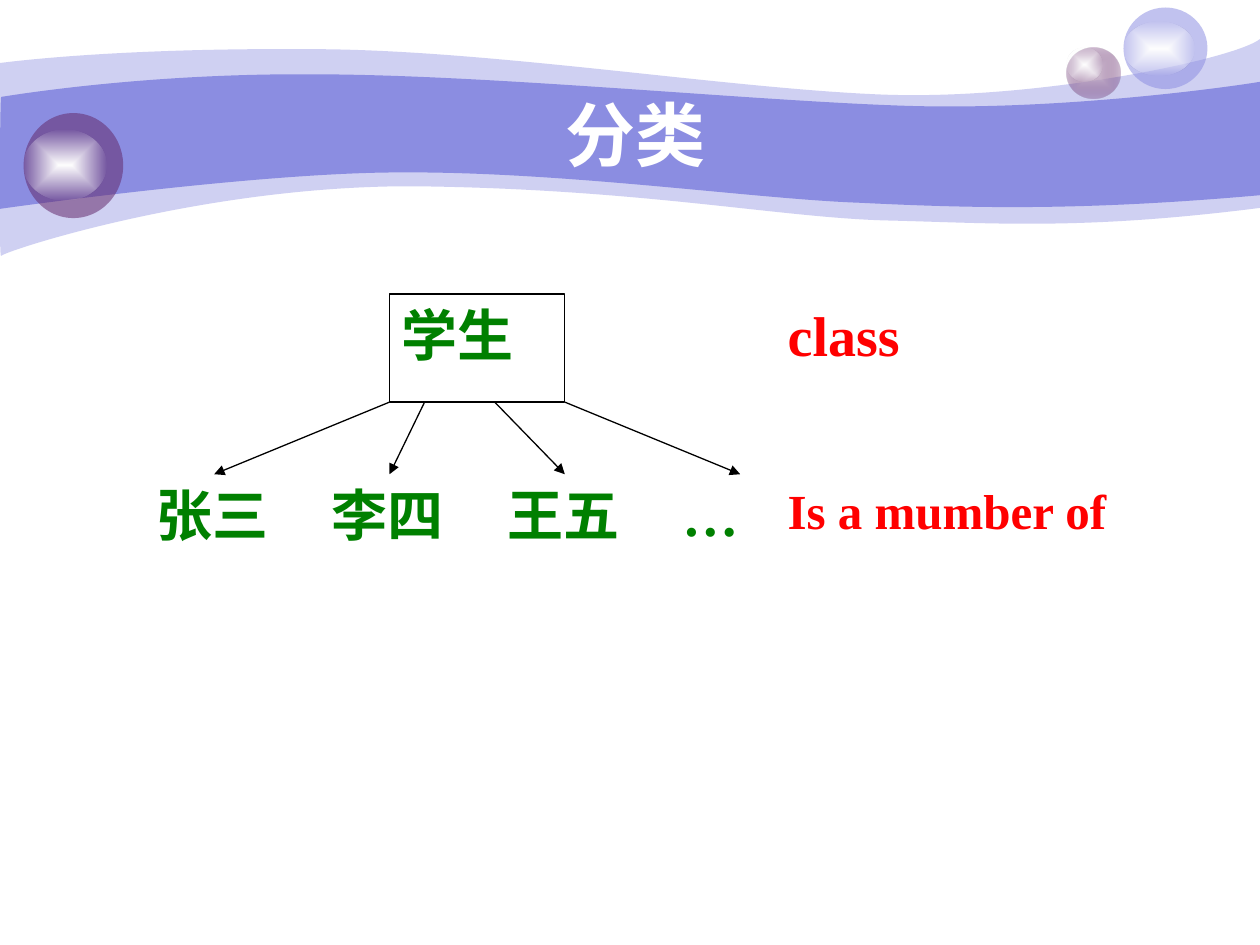
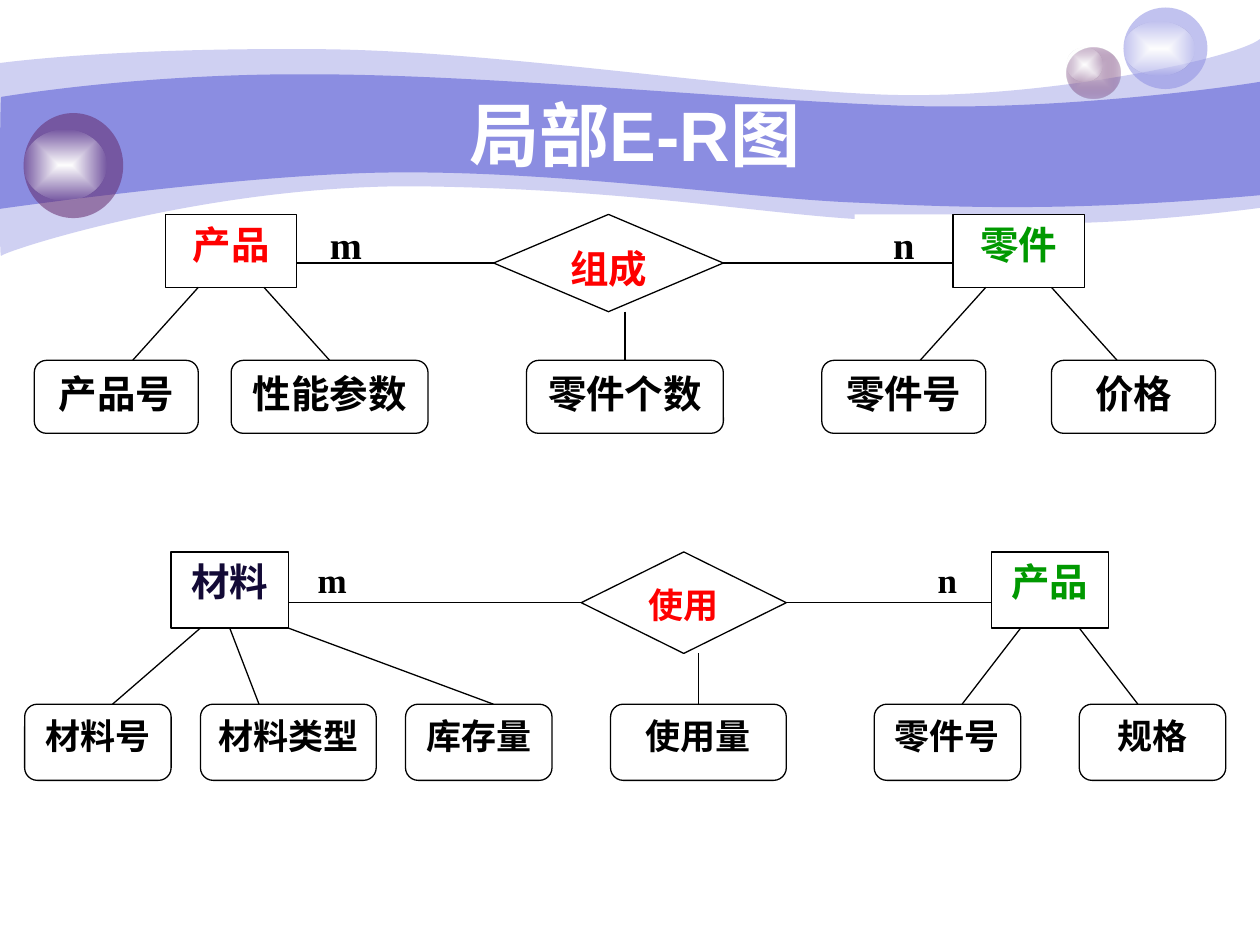
"""Builds two slides on data abstraction: a class hierarchy and two partial E-R diagrams."""
from dataclasses import dataclass

from lxml import etree
from pptx import Presentation
from pptx.dml.color import RGBColor
from pptx.enum.shapes import MSO_CONNECTOR, MSO_SHAPE
from pptx.enum.text import MSO_ANCHOR, PP_ALIGN
from pptx.oxml.ns import qn
from pptx.util import Pt

RECT, ROUNDED = MSO_SHAPE.RECTANGLE, MSO_SHAPE.ROUNDED_RECTANGLE
DIAMOND, OVAL = MSO_SHAPE.DIAMOND, MSO_SHAPE.OVAL
STRAIGHT = MSO_CONNECTOR.STRAIGHT
TOP, MIDDLE = MSO_ANCHOR.TOP, MSO_ANCHOR.MIDDLE
CENTER, JUSTIFY = PP_ALIGN.CENTER, PP_ALIGN.JUSTIFY
TOP_SIDE, LEFT_SIDE, BOTTOM_SIDE, RIGHT_SIDE = range(4)

COLORS = {
    "white": "FFFFFF", "black": "000000", "red": "FF0000", "navy": "130A36",
    "dark green": "008000", "green": "009900",
    "lavender": "8B8DE1", "plum": "632769", "pale plum": "D7C8D9",
}
SERIF, SANS, CJK = "Times New Roman", "Arial", "Noto Sans CJK KR"

PALE_BAND = [
    [(0, 36)],
    [(17.3, 33.8), (77, 27.4), (177.8, 28.1)],
    [(277.9, 28.1), (414, 50.4), (503.3, 54)],
    [(591.8, 57.6), (705.6, 33.8), (720, 22.3)],
    [(720, 118.8)],
    [(617.8, 131.8), (566.6, 127.4), (507.6, 126)],
    [(447.8, 124.6), (370.8, 108.7), (247, 106.6)],
    [(123.8, 103.7), (2.9, 143.3), (0.7, 146.2)],
    [(-0.7, 149.8), (0, 54), (0, 36)],
]
MAIN_BAND = [
    [(0.7, 55.4)],
    [(1.4, 55.4), (79.2, 41.8), (178.6, 42.5)],
    [(277.9, 42.5), (428.4, 57.6), (517, 60.5)],
    [(605.5, 63.4), (702.7, 49.7), (720, 46.8)],
    [(720, 111.6)],
    [(614.2, 121), (550.8, 118.8), (491, 115.9)],
    [(431.3, 113.8), (321.8, 97.9), (228.2, 98.6)],
    [(146.2, 98.6), (-1.4, 119.5), (-0.7, 119.5)],
    [(0, 119.5), (0, 55.4), (0.7, 55.4)],
]
BANDS = [(PALE_BAND, [("lavender", 41)]), (MAIN_BAND, [("lavender", 100)])]
GLOW = [("white", 100), ("white", 0)]
BUBBLES = [
    ((609.8, 27.2, 30.6, 29.2), [("pale plum", 100), ("plum", 31)]),
    ((609.8, 27.2, 20.2, 19.4), GLOW),
    ((642, 4.3, 48, 46.6), [("lavender", 53)]),
    ((642, 12.2, 40.3, 31), GLOW),
    ((13.5, 64.6, 56.9, 60), [("plum", 53)]),
    ((13.5, 74.2, 47.5, 40.3), GLOW),
]
MASTER_FIRST_ID = 101

HIERARCHY = {
    "title": "分类",
    "grid": (82.3, 168, 20.04, 20.6),
    "root": ("学生", 7),
    "members": [("张三", 0, 5), ("李四", 5, 5), ("王五", 10, 5), ("…", 15, 4)],
    "arrows": [(7, 2), (8, 7), (10, 12), (12, 17)],
    "notes": [("class", 0, 5, 32), ("Is a mumber of", 5, 10, 28)],
}

ER_TITLE = "局部E-R图"
ER_DIAGRAMS = [
    {
        "grid": (19.6, 122.5, 18.75, 13.9), "size": 22,
        "cardinalities": [("n", 25), ("m", 8)],
        "relation": ("组成", 14, "red", [("零件个数", 15, 6, 18, 18, SERIF)]),
        "entities": [
            ("产品", 4, "red", [("产品号", 0, 5, 5, 3, SERIF), ("性能参数", 6, 6, 7, 9, SERIF)]),
            ("零件", 28, "green", [("零件号", 24, 5, 29, 27, SERIF), ("价格", 31, 5, 31, 33, SERIF)]),
        ],
    },
    {
        "grid": (14.1, 315.4, 16.74, 14.5), "size": 20,
        "cardinalities": [("n", 30), ("m", 9)],
        "relation": ("使用", 19, "red", [("使用量", 20, 6, 23, 23, SERIF)]),
        "entities": [
            ("材料", 5, "navy", [("材料号", 0, 5, 6, 3, SERIF), ("材料类型", 6, 6, 7, 8, CJK),
                               ("库存量", 13, 5, 9, 16, SERIF)]),
            ("产品", 33, "green", [("零件号", 29, 5, 34, 32, SERIF), ("规格", 36, 5, 36, 38, SERIF)]),
        ],
    },
]
ENTITY_SIZE, ENTITY_WIDTH, RELATION_WIDTH, CARDINALITY_WIDTH = 22, 4, 7, 3
BOX_ROWS, RELATION_ROWS, ATTRIBUTE_ROW, AXIS_ROW = 3, 4, 6, 2
ROOT_WIDTH, MEMBER_ROW, NOTE_COLUMN = 5, 5, 18


def rgb(name):
    return RGBColor.from_string(COLORS[name])


def paint(shape, stops):
    """Fills a shape with one translucent colour or a gradient from its centre."""
    shape.shadow.inherit = False
    shape.line.fill.background()
    shape.fill.background()
    old = shape._element.spPr.find(qn("a:noFill"))
    fill = etree.Element(qn("a:solidFill" if len(stops) == 1 else "a:gradFill"))
    stop_list = fill if len(stops) == 1 else etree.SubElement(fill, qn("a:gsLst"))
    for index, (color, opacity) in enumerate(stops):
        holder = stop_list
        if len(stops) > 1:
            holder = etree.SubElement(stop_list, qn("a:gs"), pos=str(index * 100000))
        tone = etree.SubElement(holder, qn("a:srgbClr"), val=COLORS[color])
        if opacity < 100:
            etree.SubElement(tone, qn("a:alpha"), val=str(opacity * 1000))
    if len(stops) > 1:
        center = etree.SubElement(fill, qn("a:path"), path="rect")
        etree.SubElement(center, qn("a:fillToRect"), dict.fromkeys("ltrb", "50000"))
    old.getparent().replace(old, fill)


def add_band(page, segments):
    """Draws a closed outline whose three-point segments are cubic curves."""
    ends = [(Pt(x), Pt(y)) for x, y in (segment[-1] for segment in segments)]
    builder = page.shapes.build_freeform(*ends[0])
    builder.add_line_segments(ends[1:], close=True)
    band = builder.convert_to_shape()
    straight = list(band._element.iter(qn("a:lnTo")))
    for old, segment in zip(straight, segments[1:]):
        if len(segment) == 3:
            curve = etree.Element(qn("a:cubicBezTo"))
            for x, y in segment:
                etree.SubElement(curve, qn("a:pt"), x=str(Pt(x) - band.left), y=str(Pt(y) - band.top))
            old.getparent().replace(old, curve)
    return band


def decorate_master(deck, page):
    """Draws the bands and bubbles and hands them to the slide master."""
    parts = []
    for segments, stops in BANDS:
        parts.append((add_band(page, segments), stops))
    for place, stops in BUBBLES:
        parts.append((page.shapes.add_shape(OVAL, *map(Pt, place)), stops))
    for number, (shape, stops) in enumerate(parts, MASTER_FIRST_ID):
        paint(shape, stops)
        shape._element.nvSpPr.cNvPr.set("id", str(number))
        deck.slide_master.shapes._spTree.append(shape._element)


def write(shape, text, size, color, align, font=SERIF, anchor=TOP):
    frame = shape.text_frame
    frame.word_wrap = True
    frame.vertical_anchor = anchor
    para = frame.paragraphs[0]
    para.text = text
    para.alignment = align
    para.font.name, para.font.size, para.font.bold = font, Pt(size), True
    para.font.color.rgb = rgb(color)


def add_title(page, title):
    box = page.shapes.add_textbox(Pt(72), Pt(54), Pt(581.8), Pt(44.6))
    write(box, title, 40, "white", CENTER, SANS, MIDDLE)


@dataclass
class Grid:
    """Places boxes and lines on a page by column and row."""
    page: object
    left: float
    top: float
    column: float
    row: float

    def point(self, column, row):
        return Pt(self.left + column * self.column), Pt(self.top + row * self.row)

    def box(self, kind, column, row, width, height, outlined=True):
        shape = self.page.shapes.add_shape(
            kind, *self.point(column, row), Pt(width * self.column), Pt(height * self.row))
        shape.shadow.inherit = False
        shape.fill.solid()
        shape.fill.fore_color.rgb = rgb("white")
        if outlined:
            shape.line.color.rgb = rgb("black")
            shape.line.width = Pt(0.75)
        else:
            shape.line.fill.background()
        return shape

    def line(self, start, end, arrow=False):
        link = self.page.shapes.add_connector(STRAIGHT, *self.point(*start), *self.point(*end))
        link.line.color.rgb = rgb("black")
        link.line.width = Pt(0.75)
        if arrow:
            etree.SubElement(link.line._get_or_add_ln(), qn("a:tailEnd"), type="triangle")
        etree.SubElement(link._element.spPr, qn("a:effectLst"))
        return link


def draw_hierarchy(page, tree):
    grid = Grid(page, *tree["grid"])
    text, column = tree["root"]
    root = grid.box(RECT, column, 0, ROOT_WIDTH, BOX_ROWS)
    write(root, text, 32, "dark green", JUSTIFY)
    boxes = []
    for text, column, width in tree["members"]:
        box = grid.box(RECT, column, MEMBER_ROW, width, BOX_ROWS, outlined=False)
        write(box, text, 32, "dark green", JUSTIFY)
        boxes.append(box)
    for (start, end), box, (_, column, width) in zip(tree["arrows"], boxes, tree["members"]):
        arrow = grid.line((start, BOX_ROWS), (end, MEMBER_ROW), arrow=True)
        if end == column + width / 2:
            arrow.end_connect(box, TOP_SIDE)
    for text, row, width, size in tree["notes"]:
        note = grid.box(RECT, NOTE_COLUMN, row, width, BOX_ROWS, outlined=False)
        write(note, text, size, "red", JUSTIFY)


def draw_attributes(grid, owner, owner_middle, owner_rows, attributes, size):
    for text, column, width, start, end, font in attributes:
        box = grid.box(ROUNDED, column, ATTRIBUTE_ROW, width, BOX_ROWS)
        write(box, text, size, "black", CENTER, font)
        link = grid.line((start, owner_rows), (end, ATTRIBUTE_ROW))
        if start == owner_middle:
            link.begin_connect(owner, BOTTOM_SIDE)
        if end == column + width / 2:
            link.end_connect(box, TOP_SIDE)


def draw_er(page, diagram):
    grid, size = Grid(page, *diagram["grid"]), diagram["size"]
    for text, column in diagram["cardinalities"]:
        box = grid.box(RECT, column, 0, CARDINALITY_WIDTH, BOX_ROWS, outlined=False)
        write(box, text, size, "black", CENTER)
    for text, column, color, attributes in diagram["entities"]:
        entity = grid.box(RECT, column, 0, ENTITY_WIDTH, BOX_ROWS)
        write(entity, text, ENTITY_SIZE, color, CENTER)
        draw_attributes(grid, entity, column + ENTITY_WIDTH / 2, BOX_ROWS, attributes, size)
    text, column, color, attributes = diagram["relation"]
    relation = grid.box(DIAMOND, column, 0, RELATION_WIDTH, RELATION_ROWS)
    write(relation, text, size, color, CENTER)
    right = column + RELATION_WIDTH
    draw_attributes(grid, relation, column + RELATION_WIDTH / 2, RELATION_ROWS, attributes, size)
    first, second = (entity[1] for entity in diagram["entities"])
    link = grid.line((first + ENTITY_WIDTH, AXIS_ROW), (column, AXIS_ROW))
    link.end_connect(relation, LEFT_SIDE)
    link = grid.line((right, AXIS_ROW), (second, AXIS_ROW))
    link.begin_connect(relation, RIGHT_SIDE)


def main():
    deck = Presentation()
    deck.slide_width, deck.slide_height = Pt(720), Pt(540)
    blank = deck.slide_layouts[6]
    hierarchy_page, er_page = (deck.slides.add_slide(blank) for _ in range(2))
    decorate_master(deck, hierarchy_page)
    add_title(hierarchy_page, HIERARCHY["title"])
    draw_hierarchy(hierarchy_page, HIERARCHY)
    add_title(er_page, ER_TITLE)
    for diagram in ER_DIAGRAMS:
        draw_er(er_page, diagram)
    deck.save("out.pptx")


if __name__ == "__main__":
    main()
